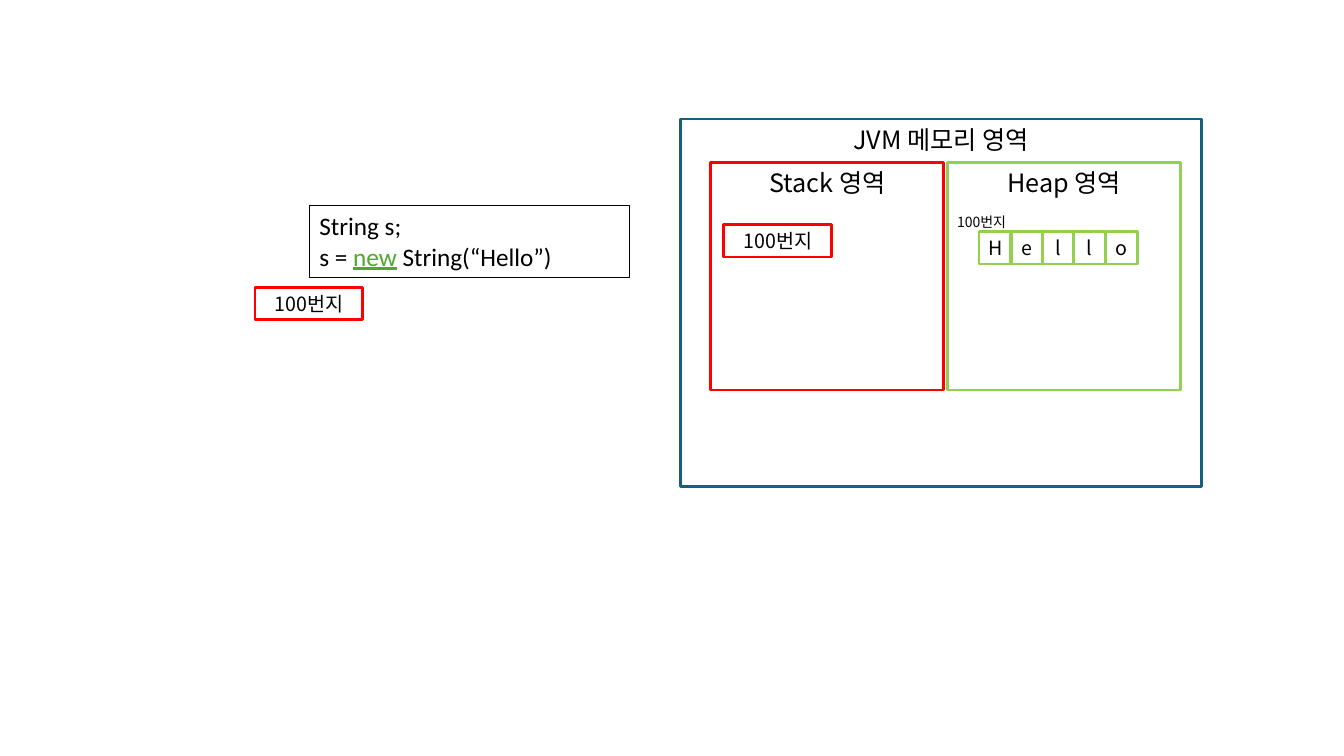
from dataclasses import dataclass

from lxml.etree import SubElement
from pptx import Presentation
from pptx.dml.color import RGBColor
from pptx.enum.shapes import MSO_SHAPE
from pptx.enum.text import MSO_ANCHOR, PP_ALIGN
from pptx.oxml.ns import qn
from pptx.util import Emu, Pt

PX = 9144  # 100 px to the inch
KOREAN, LATIN = "Noto Sans CJK KR", "Calibri"
BLACK, WHITE, RED, GREEN, TEAL, KEYWORD = (
    "000000", "FFFFFF", "FF0000", "92D050", "156082", "4EA72E")


@dataclass
class Span:
    text: str
    color: str = BLACK
    underline: bool = False


@dataclass
class Box:
    left: int
    top: int
    width: int
    height: int
    lines: list[list[Span]]
    line: str | None = None
    fill: str | None = WHITE
    opacity: int = 100
    weight: float = 2
    size: int = 14
    font: str = KOREAN
    align: PP_ALIGN = PP_ALIGN.CENTER
    anchor: MSO_ANCHOR = MSO_ANCHOR.MIDDLE


def rgb(color: str) -> RGBColor:
    return RGBColor.from_string(color)


def set_all(target, values: dict) -> None:
    for name, value in values.items():
        setattr(target, name, value)


def write_text(frame, box: Box) -> None:
    set_all(frame, {"word_wrap": True, "vertical_anchor": box.anchor})
    for index, line in enumerate(box.lines):
        para = frame.add_paragraph() if index else frame.paragraphs[0]
        para.alignment = box.align
        for span in line:
            run = para.add_run()
            run.text = span.text
            set_all(run.font, {"name": box.font, "size": Pt(box.size),
                               "underline": span.underline})
            run.font.color.rgb = rgb(span.color)
            latin = run.font._element.find(qn("a:latin"))
            east_asian = latin.makeelement(qn("a:ea"), {"typeface": KOREAN})
            latin.addnext(east_asian)


def draw_box(shapes, box: Box) -> None:
    place = [Emu(value * PX) for value in (box.left, box.top, box.width, box.height)]
    if box.line is None:
        shape = shapes.add_textbox(*place)
    else:
        shape = shapes.add_shape(MSO_SHAPE.RECTANGLE, *place)
        shape.shadow.inherit = False
        shape.line.color.rgb = rgb(box.line)
        shape.line.width = Pt(box.weight)
    if box.fill is None:
        shape.fill.background()
    else:
        shape.fill.solid()
        shape.fill.fore_color.rgb = rgb(box.fill)
        if box.opacity < 100:
            color = shape._element.spPr.find(qn("a:solidFill"))[0]
            SubElement(color, qn("a:alpha"), val=str(box.opacity * 1000))
    write_text(shape.text_frame, box)


def area(left: int, top: int, width: int, height: int, name: str, line: str) -> Box:
    return Box(left, top, width, height, [[Span(f"{name} 영역")]], line,
               opacity=38, size=18, anchor=MSO_ANCHOR.TOP)


def address(left: int, top: int, line: str | None = RED,
            fill: str | None = WHITE, size: int = 14) -> Box:
    return Box(left, top, 107, 32, [[Span("100번지")]], line, fill, size=size)


def main() -> None:
    deck = Presentation()
    set_all(deck, {"slide_width": Emu(1333 * PX), "slide_height": Emu(750 * PX)})
    page = deck.slides.add_slide(deck.slide_layouts[6])

    # Memory areas, code and the reference held on the stack
    code = [[Span("String s;")],
            [Span("s = "), Span("new", KEYWORD, True), Span(" String(“Hello”)")]]
    for box in (
        area(675, 118, 517, 365, "JVM 메모리", TEAL),
        area(705, 161, 231, 226, "Stack", RED),
        area(940, 161, 231, 226, "Heap", GREEN),
        Box(307, 204, 317, 71, code, BLACK, None, weight=0.75, size=18,
            font=LATIN, align=PP_ALIGN.LEFT, anchor=MSO_ANCHOR.TOP),
        address(253, 285),
        address(718, 223),
    ):
        draw_box(page.shapes, box)

    # String object on the heap: one cell per letter, with its address
    string_object = page.shapes.add_group_shape()
    for index, letter in enumerate("Hello"):
        left = 971 + round(index * 31.5)
        draw_box(string_object.shapes,
                 Box(left, 230, 31, 32, [[Span(letter)]], GREEN))
    draw_box(string_object.shapes, address(920, 204, None, None, 10))

    deck.save("out.pptx")


if __name__ == "__main__":
    main()
